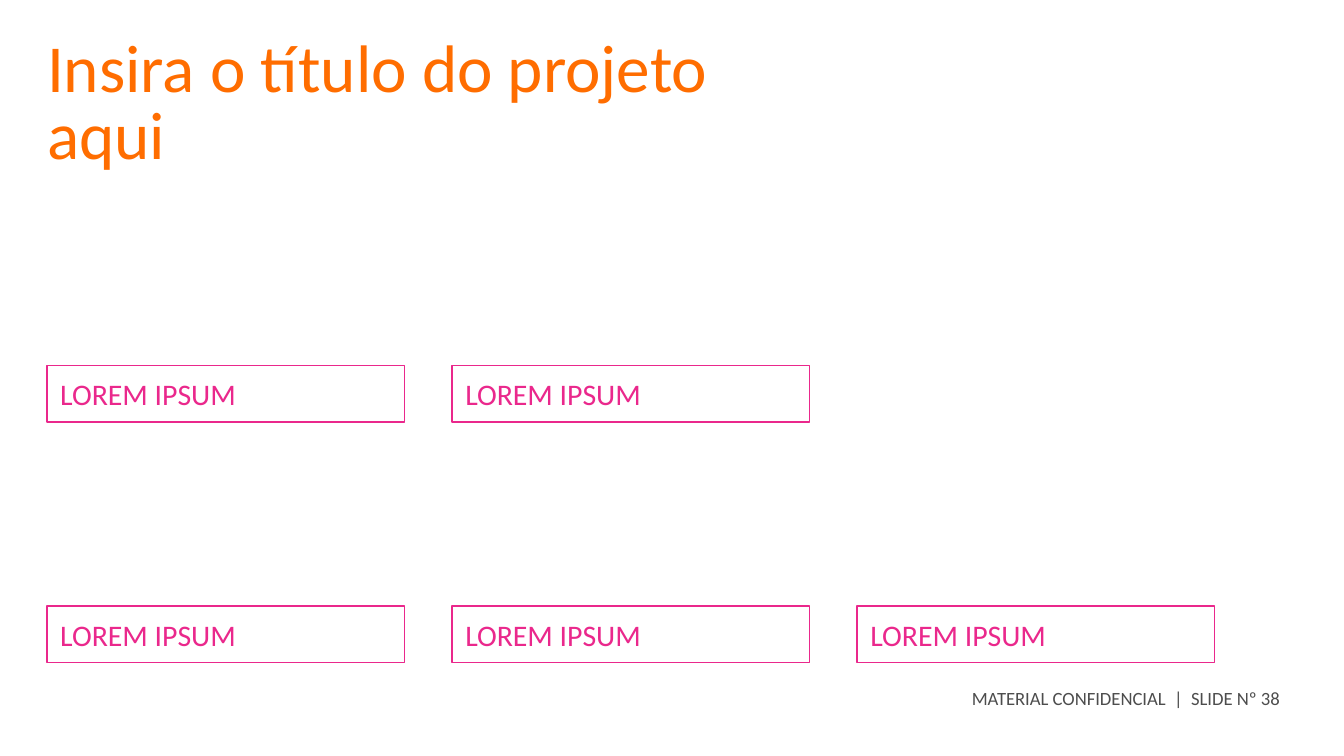
from pptx import Presentation
from pptx.dml.color import RGBColor
from pptx.enum import shapes, text
from pptx.util import Pt

ORANGE = RGBColor(0xFF, 0x6D, 0x00)
PINK = RGBColor(0xEA, 0x28, 0x8C)
GRAY = RGBColor(0x4D, 0x4D, 0x4D)
FONT = "Calibri"

MARGIN = 25.2
LABEL_WIDTH, LABEL_HEIGHT = 191.5, 30.4
COLUMN_STEP = 217
ROWS = [(195.8, 2), (324.7, 3)]  # top of the row, number of labels


def write(shape, words, size, color, anchor, side_inset=0):
    """Set one left-aligned line of text in a shape."""
    frame = shape.text_frame
    frame.text = words
    frame.word_wrap = True
    frame.auto_size = text.MSO_AUTO_SIZE.NONE
    frame.vertical_anchor = anchor
    frame.margin_left = frame.margin_right = Pt(side_inset)
    frame.margin_top = frame.margin_bottom = 0
    paragraph = frame.paragraphs[0]
    paragraph.alignment = text.PP_ALIGN.LEFT
    font = paragraph.runs[0].font
    font.name, font.size, font.color.rgb = FONT, Pt(size), color
    return paragraph


def add_title(slide, left, top, width, height):
    title = slide.shapes.title
    title.left, title.top = Pt(left), Pt(top)
    title.width, title.height = Pt(width), Pt(height)
    paragraph = write(title, "Insira o título do projeto aqui", 36, ORANGE,
                      text.MSO_ANCHOR.TOP)
    paragraph.line_spacing = Pt(36)


def add_label(slide, left, top, width, height):
    label = slide.shapes.add_shape(shapes.MSO_SHAPE.RECTANGLE, Pt(left), Pt(top),
                                   Pt(width), Pt(height))
    label.shadow.inherit = False
    label.fill.background()
    label.line.color.rgb = PINK
    label.line.width = Pt(0.75)
    write(label, "LOREM IPSUM", 16, PINK, text.MSO_ANCHOR.MIDDLE, side_inset=7.2)


def add_footer(slide, left, top, width, height):
    footer = slide.shapes.add_textbox(Pt(left), Pt(top), Pt(width), Pt(height))
    write(footer, "MATERIAL CONFIDENCIAL  |  SLIDE Nº 38", 10, GRAY,
          text.MSO_ANCHOR.TOP)


def main():
    presentation = Presentation()
    presentation.slide_width, presentation.slide_height = Pt(720), Pt(405)
    slide = presentation.slides.add_slide(presentation.slide_layouts[5])

    # Footer and title
    add_footer(slide, 520.6, 368, 168, 21.6)
    add_title(slide, MARGIN, 20.9, 408, 66)

    # Label grid
    for top, count in ROWS:
        for column in range(count):
            add_label(slide, MARGIN + column * COLUMN_STEP, top,
                      LABEL_WIDTH, LABEL_HEIGHT)

    presentation.save("out.pptx")


if __name__ == "__main__":
    main()
